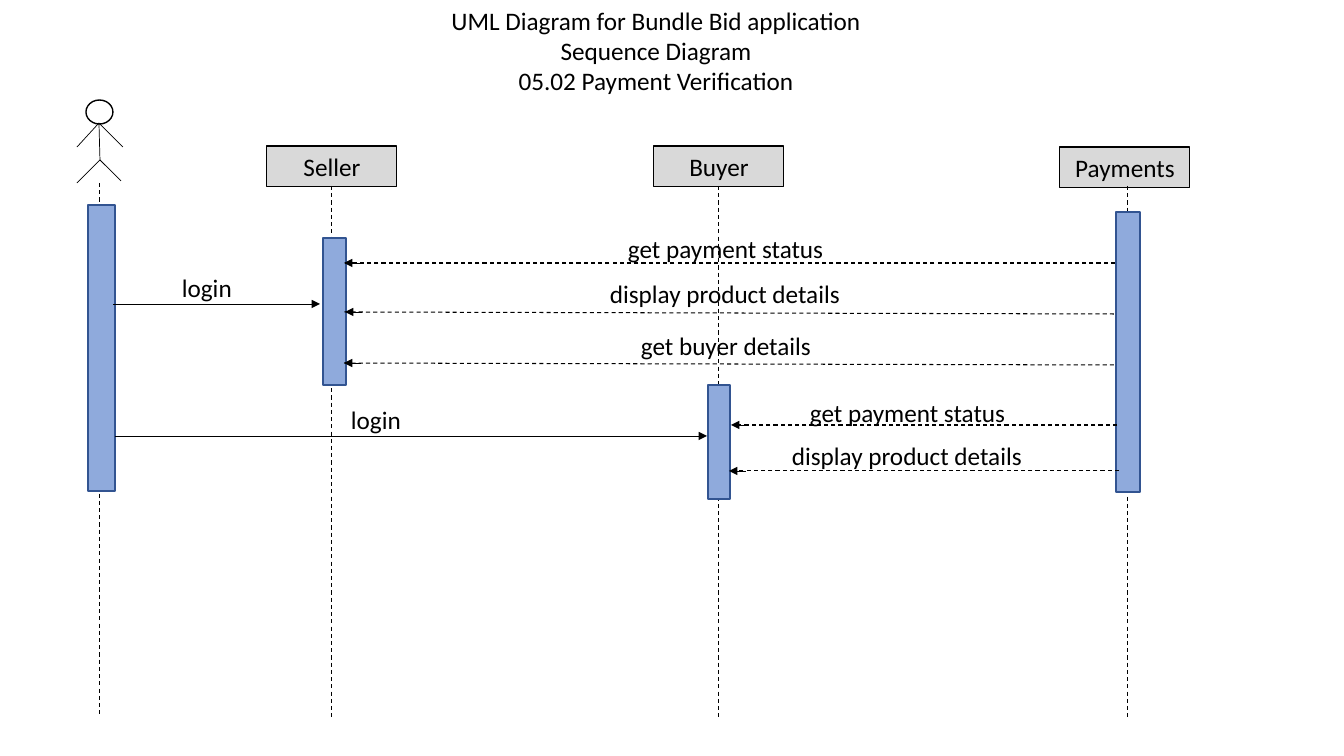
from typing import NamedTuple

from lxml.etree import SubElement as sub_el
from pptx import Presentation
from pptx.dml.color import RGBColor as Rgb
from pptx.enum.dml import MSO_LINE as Dash
from pptx.enum.shapes import MSO_CONNECTOR as Conn, MSO_SHAPE as Form
from pptx.enum.text import MSO_ANCHOR as Anchor, PP_ALIGN as Align
from pptx.oxml.ns import qn
from pptx.util import Emu, Pt

SCALE = 914400 / 100.8
BLACK, WHITE, GREY = "000000", "FFFFFF", "D9D9D9"
BLUE, NAVY = "8FAADC", "325491"


class Box(NamedTuple):
    left: int
    top: int
    width: int
    height: int


class Life(NamedTuple):
    mid: int
    top: int
    end: int
    bar: Box


class Head(NamedTuple):
    name: str
    box: Box


class Call(NamedTuple):
    start: int
    end: int
    y: int
    label: Box


class Reply(NamedTuple):
    name: str
    start: int
    end: int
    y: int
    drop: int
    tip: int
    stub: int
    label: Box


def px(size: int) -> Emu:
    return Emu(round(size * SCALE))


def color(code: str) -> Rgb:
    return Rgb.from_string(code)


prs = Presentation()
prs.slide_width, prs.slide_height = px(1344), px(756)
slide = prs.slides.add_slide(prs.slide_layouts[6])
shapes = slide.shapes


def write(frame, text: str, *, size: int = 18, align=Align.LEFT,
          anchor=Anchor.TOP, ink: str = BLACK) -> None:
    frame.word_wrap = True
    frame.vertical_anchor = anchor
    for i, line in enumerate(text.split("\n")):
        par = frame.add_paragraph() if i else frame.paragraphs[0]
        par.alignment = align
        run = par.add_run()
        run.text = line
        run.font.name, run.font.size = "Calibri", Pt(size)
        run.font.color.rgb = color(ink)


def add_text(box: Box, text: str, **style) -> None:
    write(shapes.add_textbox(*map(px, box)).text_frame, text, **style)


def add_form(box: Box, fill: str, edge: str, width: float = 1,
             form=Form.RECTANGLE):
    shape = shapes.add_shape(form, *map(px, box))
    shape.shadow.inherit = False
    shape.fill.solid()
    shape.fill.fore_color.rgb = color(fill)
    shape.line.color.rgb = color(edge)
    shape.line.width = Pt(width)
    return shape


def add_line(x1: int, y1: int, x2: int, y2: int, *, width: float = 0.5,
             dash: bool = False, arrow: bool = False) -> None:
    line = shapes.add_connector(Conn.STRAIGHT, *map(px, (x1, y1, x2, y2)))
    line.line.color.rgb = color(BLACK)
    line.line.width = Pt(width)
    if dash:
        line.line.dash_style = Dash.DASH
    if arrow:
        sub_el(line.line._get_or_add_ln(), qn("a:tailEnd"), type="triangle")
    sub_el(line._element.spPr, qn("a:effectLst"))


# Title
add_text(Box(320, 0, 672, 102),
         "UML Diagram for Bundle Bid application\n"
         "Sequence Diagram\n05.02 Payment Verification",
         align=Align.CENTER)

# Actor: trunk, head, arms and legs
neck, hip = (99, 123), (100, 160)
add_line(*neck, *hip)
add_form(Box(86, 100, 27, 24), WHITE, BLACK, form=Form.OVAL)
for joint, limb in [(neck, (77, 147)), (neck, (123, 147)),
                    (hip, (77, 183)), (hip, (121, 181))]:
    add_line(*joint, *limb)

# Object names
heads = [
    Head("Seller", Box(267, 146, 130, 41)),
    Head("Buyer", Box(654, 146, 130, 41)),
    Head("Payments", Box(1060, 147, 130, 41)),
]
for head in heads:
    shape = add_form(head.box, GREY, BLACK, 0.75)
    write(shape.text_frame, head.name, align=Align.CENTER,
          anchor=Anchor.MIDDLE)

# Lifelines with their activation bars
lives = [
    Life(100, 183, 717, Box(88, 205, 27, 286)),
    Life(332, 186, 720, Box(323, 238, 23, 147)),
    Life(719, 186, 720, Box(708, 385, 22, 114)),
    Life(1128, 186, 720, Box(1116, 212, 24, 280)),
]
for life in lives:
    add_line(life.mid, life.top, life.mid, life.end, width=0.75, dash=True)
for life in lives:
    add_form(life.bar, BLUE, NAVY)

# Login calls
calls = [
    Call(113, 320, 304, Box(172, 267, 172, 40)),
    Call(115, 707, 436, Box(341, 399, 172, 40)),
]
for call in calls:
    add_line(call.start, call.y, call.end, call.y, arrow=True)
    add_text(call.label, "login")

# Dashed replies, each with a short solid arrow at its tip
replies = [
    Reply("get payment status", 1115, 345, 263, 0, 344, 17,
          Box(618, 228, 281, 40)),
    Reply("display product details", 1114, 343, 312, 2, 345, 17,
          Box(600, 273, 281, 40)),
    Reply("get buyer details", 1114, 343, 363, 2, 344, 17,
          Box(631, 325, 281, 40)),
    Reply("get payment status", 1117, 733, 425, 0, 731, 18,
          Box(800, 392, 324, 40)),
    Reply("display product details", 1119, 734, 471, 0, 729, 17,
          Box(782, 435, 344, 40)),
]
for reply in replies:
    add_line(reply.start, reply.y + reply.drop, reply.end, reply.y,
             width=0.75, dash=True)
    add_line(reply.tip + reply.stub, reply.y, reply.tip, reply.y, arrow=True)
    add_text(reply.label, reply.name)

prs.save("out.pptx")
